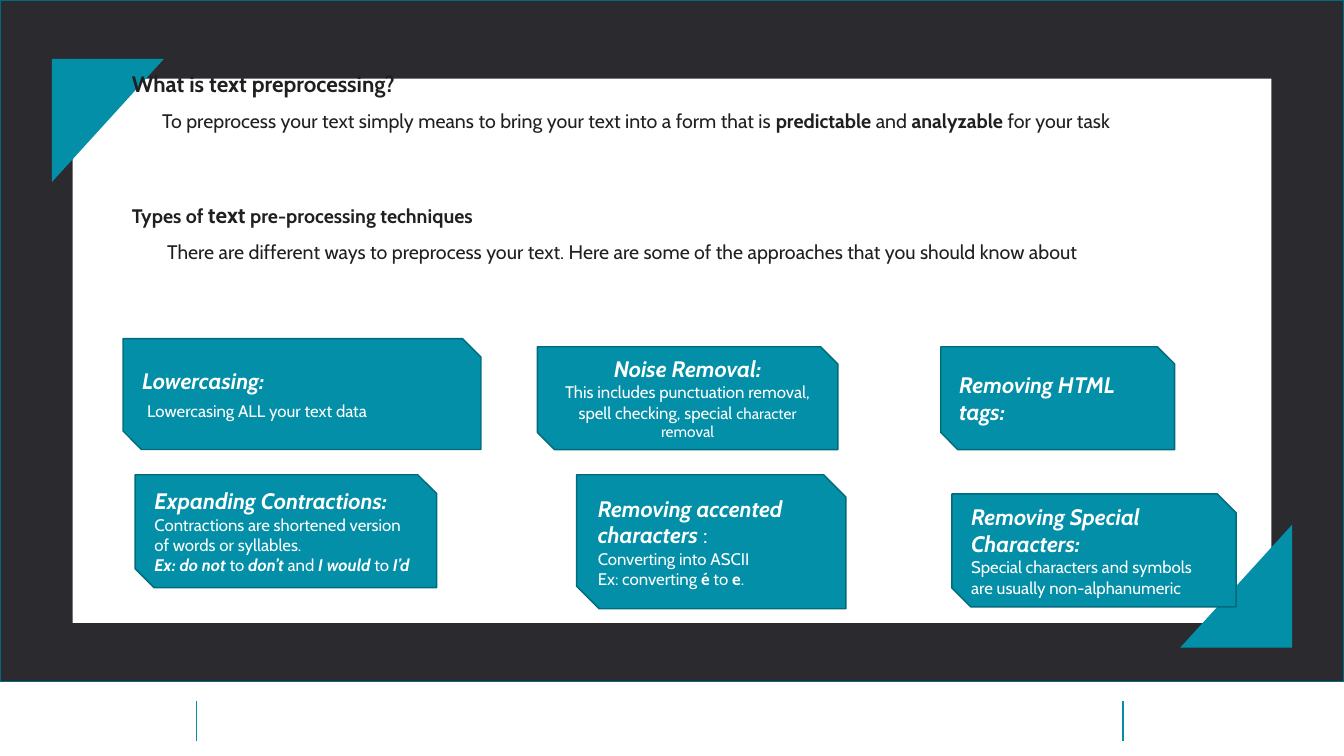
"""Build the text preprocessing slide: two framed topics and six technique cards."""
import pptx
import pptx.dml.color
import pptx.enum.shapes
import pptx.enum.text
import pptx.oxml
import pptx.util

Inches = pptx.util.Inches
Pt = pptx.util.Pt
MSO = pptx.enum.shapes.MSO_SHAPE
ALIGN = pptx.enum.text.PP_ALIGN
COLORS = {
    "teal": "028FA7",
    "edge": "016A7C",
    "frame": "2B2A2F",
    "white": "FFFFFF",
    "ink": "202020",
}
RGB = {name: pptx.dml.color.RGBColor.from_string(c) for name, c in COLORS.items()}
BOLD = {"bold": True}
STRONG = {"bold": True, "italic": True}
TITLE = {"size": 16, **STRONG}
BODY = {"size": 12}

prs = pptx.Presentation()
prs.slide_width = Inches(13.33)
prs.slide_height = Inches(7.5)
s = prs.slides.add_slide(prs.slide_layouts[6])


def add_block(kind, box, fill, edge=None, rotation=0):
    sp = s.shapes.add_shape(kind, *[Inches(v) for v in box])
    sp.shadow.inherit = False
    sp.rotation = rotation
    sp.fill.solid()
    sp.fill.fore_color.rgb = RGB[fill]
    if edge:
        sp.line.color.rgb = RGB[edge]
        sp.line.width = Pt(1)
    else:
        sp.line.fill.background()
    return sp


def write_paragraph(p, runs, style, color, indent=0):
    if indent:
        p._p.get_or_add_pPr().set("marL", str(Inches(indent)))
    p.font.name = "Cabin"
    p.font.color.rgb = RGB[color]
    p.font.size = Pt(style["size"])
    p.font.bold = style.get("bold", False)
    p.font.italic = style.get("italic", False)
    for text, change in runs:
        r = p.add_run()
        r.text = text
        if "size" in change:
            r.font.size = Pt(change["size"])
        if "bold" in change:
            r.font.bold = change["bold"]
        if "italic" in change:
            r.font.italic = change["italic"]


for x in (1.95, 11.14):
    tick = s.shapes.add_connector(
        pptx.enum.shapes.MSO_CONNECTOR.STRAIGHT,
        Inches(x), Inches(6.95), Inches(x), Inches(7.35))
    tick.line.color.rgb = RGB["teal"]
    tick.line.width = Pt(1.25)
    tick._element.spPr.append(pptx.oxml.parse_xml(
        '<a:effectLst xmlns:a="http://schemas.openxmlformats.org/drawingml/2006/main"/>'))

add_block(MSO.RECTANGLE, (0, 0, 13.33, 6.76), "frame", "edge")
add_block(MSO.RECTANGLE, (0.72, 0.78, 11.89, 5.4), "white")
for x, y, rotation in ((0.46, 0.64, 90), (11.65, 5.26, 270)):
    add_block(MSO.RIGHT_TRIANGLE, (x, y, 1.22, 1.11), "teal", rotation=rotation)

topics = [
    ({"size": 16, **BOLD}, 0, 0, [("What is text preprocessing?", {})]),
    ({"size": 14}, 10, 0.3, [
        ("To preprocess your text simply means to bring your text into a form that is ", {}),
        ("predictable ", BOLD), ("and ", {}), ("analyzable", BOLD), (" for your task", {})]),
    ({"size": 14, **BOLD}, 51, 0, [
        ("Types of ", {}), ("text", {"size": 16}), (" pre-processing techniques", {})]),
    ({"size": 14}, 10, 0.35, [
        ("There are different ways to preprocess your text. "
         "Here are some of the approaches that you should know about", {})]),
]
tf = s.shapes.add_textbox(Inches(1.21), Inches(0.68), Inches(11.23), Inches(6.15)).text_frame
tf.word_wrap = True
for i, (style, before, indent, runs) in enumerate(topics):
    p = tf.add_paragraph() if i else tf.paragraphs[0]
    p.line_spacing = 0.9
    p.space_before = Pt(before)
    write_paragraph(p, runs, style, "ink", indent)

cards = [
    ((1.22, 3.36, 3.55, 1.1), ALIGN.LEFT, 5, 0.05, [
        (TITLE, [("Lowercasing:", {})]),
        (BODY, [("Lowercasing ALL your text data", {})])]),
    ((5.33, 3.44, 2.98, 1.02), ALIGN.CENTER, 0, 0, [
        (TITLE, [("Noise Removal:", {})]),
        (BODY, [("This includes punctuation removal, spell checking, special ", {}),
                ("character removal", {"size": 11})])]),
    ((9.33, 3.44, 2.32, 1.02), ALIGN.LEFT, 0, 0, [
        (TITLE, [("Removing HTML tags:", {})])]),
    ((9.44, 4.9, 2.82, 1.12), ALIGN.LEFT, 0, 0, [
        (TITLE, [("Removing Special Characters:", {})]),
        (BODY, [("Special characters and symbols are usually non-alphanumeric", {})])]),
    ((5.72, 4.71, 2.67, 1.33), ALIGN.LEFT, 0, 0, [
        (TITLE, [("Removing accented characters", {}),
                 (" :", {"bold": False, "italic": False})]),
        (BODY, [("Converting into ASCII", {})]),
        (BODY, [("Ex: converting ", {}), ("é ", BOLD), ("to ", {}), ("e", BOLD), (".", {})])]),
    ((1.34, 4.71, 2.99, 1.12), ALIGN.LEFT, 0, 0, [
        (TITLE, [("Expanding Contractions:", {})]),
        (BODY, [("Contractions are shortened version of words or syllables.", {})]),
        (BODY, [("Ex: do not", STRONG), (" to ", {}), ("don’t", STRONG), (" and ", {}),
                ("I would", STRONG), (" to ", {}), ("I’d", STRONG)])]),
]
for box, align, before, indent, paragraphs in cards:
    tf = add_block(MSO.SNIP_2_DIAG_RECTANGLE, box, "teal", "edge").text_frame
    tf.word_wrap = True
    tf.vertical_anchor = pptx.enum.text.MSO_ANCHOR.MIDDLE
    for i, (style, runs) in enumerate(paragraphs):
        p = tf.add_paragraph() if i else tf.paragraphs[0]
        p.alignment = align
        p.space_before = Pt(before if i else 0)
        write_paragraph(p, runs, style, "white", indent if i else 0)

prs.save("out.pptx")
